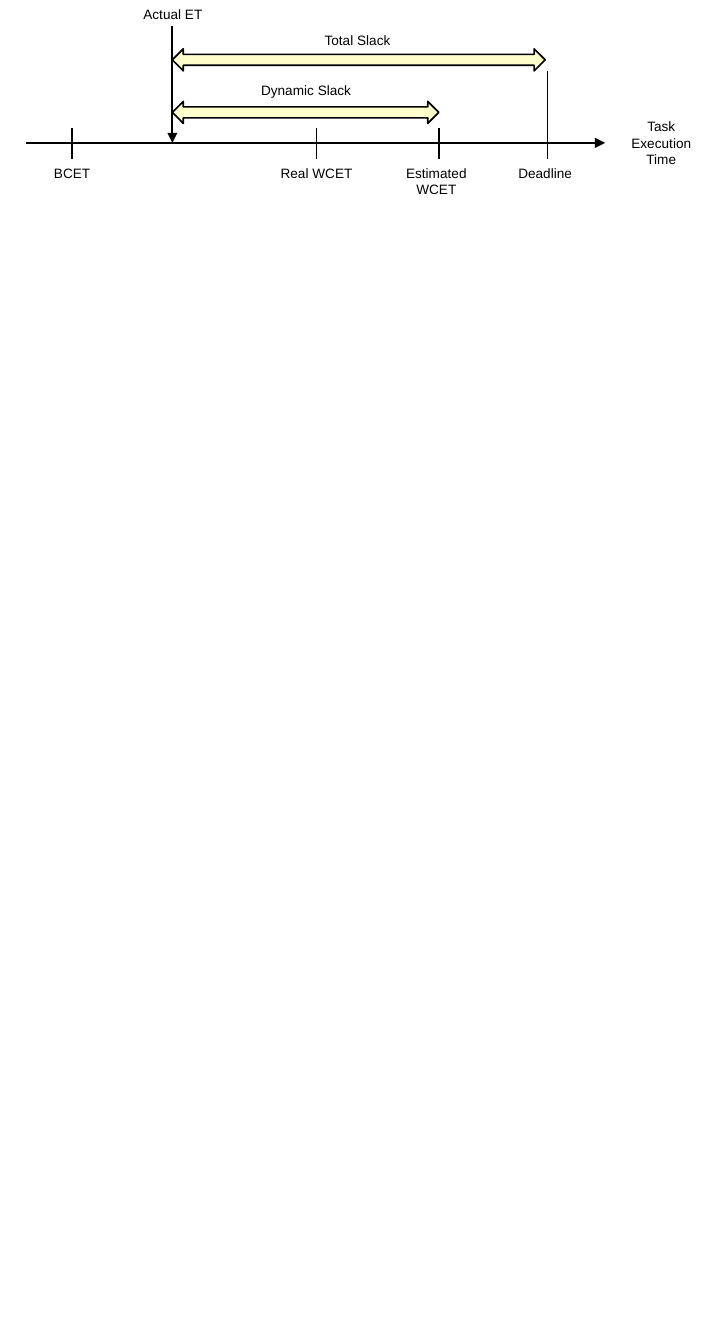
from lxml import etree
from pptx import Presentation
from pptx import util as u
from pptx.dml.color import RGBColor
from pptx.enum import shapes, text
from pptx.oxml.ns import qn

BLACK = RGBColor(0x00, 0x00, 0x00)
CREAM = RGBColor(0xFF, 0xFF, 0xCC)
FONT = {"name": "Arial", "size": u.Pt(8)}
FRAME = {"word_wrap": True, "auto_size": text.MSO_AUTO_SIZE.SHAPE_TO_FIT_TEXT}
AXIS_Y = 1.17
TICK_TOP, TICK_BOTTOM = 1.05, 1.3
ACTUAL_X = 1.26
LABEL_W, LABEL_H = 0.88, 0.24

TICKS = [
    ("BCET", 0.44, 0, TICK_TOP, LABEL_H),
    ("Real WCET", 2.44, 2, TICK_TOP, LABEL_H),
    ("Estimated WCET", 3.44, 2.98, TICK_TOP, 0.37),
    ("Deadline", 4.33, 3.87, 0.58, LABEL_H),
]
SLACKS = [
    ("Total Slack", 2.04, 0.21, 0.4, 3.05),
    ("Dynamic Slack", 1.62, 0.62, 0.83, 2.18),
]


def apply(target, values):
    """Set each named attribute on the target."""
    for name, value in values.items():
        setattr(target, name, value)


def add_label(s, words, left, top, width, height=LABEL_H):
    """Add a centred text label."""
    sp = s.shapes.add_textbox(*map(u.Inches, (left, top, width, height)))
    tf = sp.text_frame
    apply(tf, FRAME)
    p = tf.paragraphs[0]
    p.alignment = text.PP_ALIGN.CENTER
    r = p.add_run()
    r.text = words
    apply(r.font, FONT)
    r.font.color.rgb = BLACK


def add_line(s, x1, y1, x2, y2, arrow=False):
    """Add a thin black line, with a triangle at its end if asked."""
    cx = s.shapes.add_connector(
        shapes.MSO_CONNECTOR.STRAIGHT, *map(u.Inches, (x1, y1, x2, y2)))
    cx.line.width = u.Pt(1)
    cx.line.color.rgb = BLACK
    if arrow:
        ln = cx.line._get_or_add_ln()
        etree.SubElement(ln, qn("a:tailEnd"), type="triangle")
    etree.SubElement(cx._element.spPr, qn("a:effectLst"))


def add_axis(s, x, y):
    """Draw the time axis, its title and the actual execution time."""
    add_line(s, x + 0.06, y + AXIS_Y, x + 4.8, y + AXIS_Y, arrow=True)
    add_label(s, "Task Execution Time", x + 4.8, y + 0.92, 0.92, 0.5)
    add_line(s, x + ACTUAL_X, y + 0.21, x + ACTUAL_X, y + AXIS_Y, arrow=True)
    add_label(s, "Actual ET", x + 0.81, y, 0.91)


def add_ticks(s, x, y):
    """Draw the labelled marks along the axis."""
    for words, tick, left, top, height in TICKS:
        add_line(s, x + tick, y + top, x + tick, y + TICK_BOTTOM)
        add_label(s, words, x + left, y + TICK_BOTTOM, LABEL_W, height)


def add_slacks(s, x, y):
    """Draw the labelled slack spans from the actual execution time."""
    for words, left, label_top, top, width in SLACKS:
        add_label(s, words, x + left, y + label_top, 1.47)
        sp = s.shapes.add_shape(
            shapes.MSO_SHAPE.LEFT_RIGHT_ARROW,
            *map(u.Inches, (x + ACTUAL_X, y + top, width, 0.18)))
        sp.shadow.inherit = False
        sp.fill.solid()
        sp.fill.fore_color.rgb = CREAM
        sp.line.color.rgb = BLACK
        sp.line.width = u.Pt(1)


def main():
    """Build the slide and save it."""
    prs = Presentation()
    apply(prs, {"slide_width": u.Inches(5.8), "slide_height": u.Inches(11)})
    s = prs.slides.add_slide(prs.slide_layouts[6])
    for add_region in (add_axis, add_ticks, add_slacks):
        add_region(s, 0.15, 0)
    prs.save("out.pptx")


if __name__ == "__main__":
    main()
